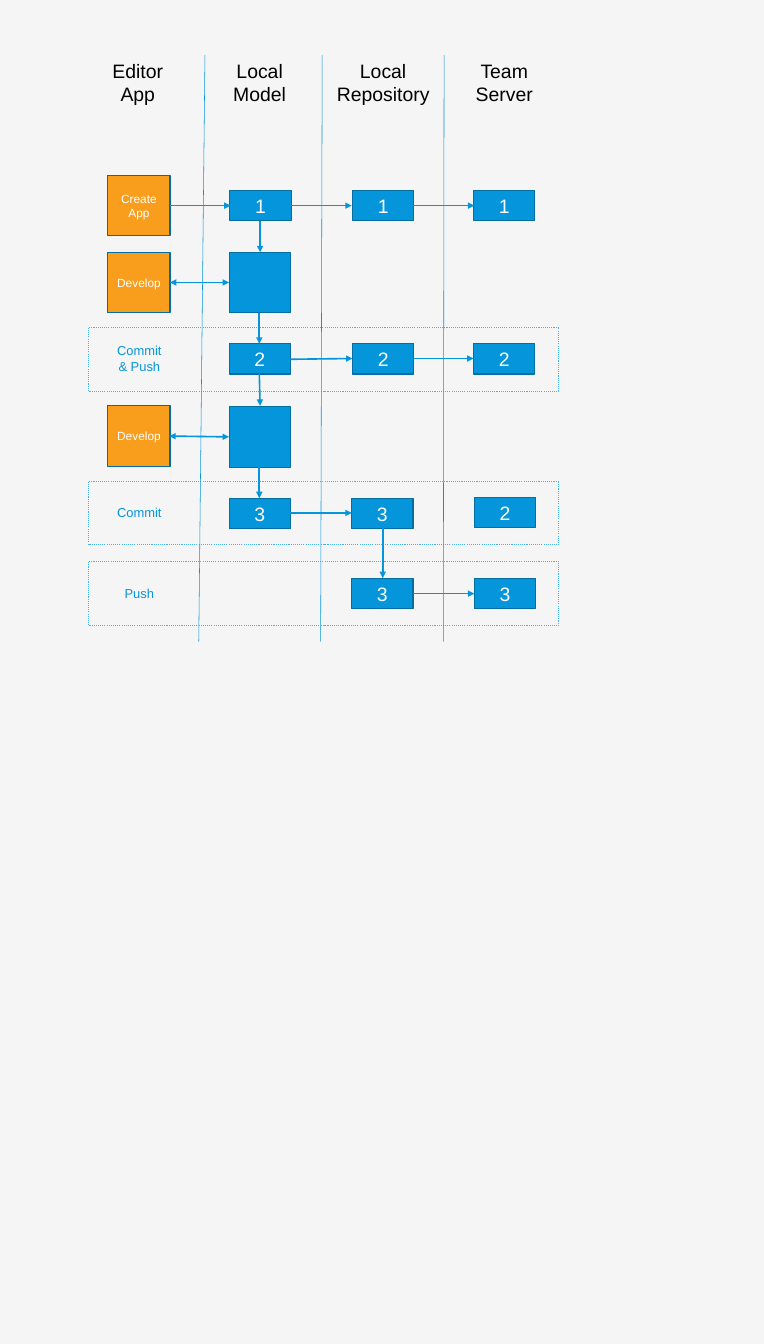
from pptx import Presentation
from pptx.dml.color import RGBColor
from pptx.enum.dml import MSO_LINE, MSO_PATTERN
from pptx.enum.shapes import MSO_CONNECTOR, MSO_SHAPE
from pptx.enum.text import MSO_ANCHOR, MSO_AUTO_SIZE, PP_ALIGN
from pptx.oxml.ns import qn
from pptx.util import Pt
from lxml.etree import SubElement

PX = 9144  # EMU per px, 100 px to the inch

THEME = {
    "font": "Arial",
    "background": RGBColor.from_string("F5F5F5"),
    "blue": RGBColor.from_string("0595DB"),
    "outline": RGBColor.from_string("046EA2"),
    "frame": RGBColor.from_string("48B0F7"),
    "orange": RGBColor.from_string("F99D1D"),
    "white": RGBColor.from_string("FFFFFF"),
    "black": RGBColor.from_string("000000"),
    "large": Pt(18),
    "label": Pt(12),
    "small": Pt(11),
}


def write_text(shape, paragraphs, size, color):
    """Fill a shape with centred paragraphs; a newline is a line break."""
    frame = shape.text_frame
    frame.word_wrap = True
    for index, text in enumerate(paragraphs):
        paragraph = frame.paragraphs[0] if index == 0 else frame.add_paragraph()
        paragraph.alignment = PP_ALIGN.CENTER
        for number, line in enumerate(text.split("\n")):
            if number:
                paragraph.add_line_break()
            run = paragraph.add_run()
            run.text = line
            run.font.name = THEME["font"]
            run.font.size = THEME[size]
            run.font.color.rgb = THEME[color]


def add_line(start, end, width, arrowheads=()):
    """Draw a blue line with triangles at the named ends."""
    connector = slide.shapes.add_connector(
        MSO_CONNECTOR.STRAIGHT, *(value * PX for value in (*start, *end)))
    connector.line.color.rgb = THEME["blue"]
    connector.line.width = Pt(width)
    properties = connector._element.spPr
    for arrowhead in arrowheads:
        SubElement(properties.find(qn("a:ln")), qn(f"a:{arrowhead}"), type="triangle")
    SubElement(properties, qn("a:effectLst"))


presentation = Presentation()
presentation.slide_width = 984 * PX
presentation.slide_height = 1732 * PX
slide = presentation.slides.add_slide(presentation.slide_layouts[6])
slide.background.fill.solid()
slide.background.fill.fore_color.rgb = THEME["background"]

# Dotted frames around the commit and push steps
for top in (422, 620, 724):
    step_frame = slide.shapes.add_shape(
        MSO_SHAPE.RECTANGLE, 114 * PX, top * PX, 606 * PX, 82 * PX)
    step_frame.shadow.inherit = False
    step_frame.fill.background()
    step_frame.line.color.rgb = THEME["frame"]
    step_frame.line.width = Pt(1)
    step_frame.line.dash_style = MSO_LINE.ROUND_DOT

# Column separators
for top_x, bottom_x in ((264, 256), (415, 413), (572, 571)):
    add_line((top_x, 71), (bottom_x, 827), 0.5)

# Column headings and step labels: left, top, width, height, text, size, colour
headings = [(99, "Editor\nApp"), (256, "Local\nModel"),
            (415, "Local\nRepository"), (571, "Team\nServer")]
step_labels = [(437, 50, "Commit & Push"), (646, 30, "Commit"), (750, 30, "Push")]
texts = [(left, 71, 157, 71, text, "large", "black") for left, text in headings]
texts += [(140, top, 79, height, text, "label", "blue")
          for top, height, text in step_labels]
for left, top, width, height, text, size, color in texts:
    text_box = slide.shapes.add_textbox(left * PX, top * PX, width * PX, height * PX)
    write_text(text_box, [text], size, color)
    text_box.text_frame.auto_size = MSO_AUTO_SIZE.SHAPE_TO_FIT_TEXT

# Boxes: left, top, width, height, paragraphs, size, fill
actions = [(226, ["Create", "App"]), (325, ["Develop"]), (523, ["Develop"])]
revisions = [
    (245, "1", (296, 454, 610)),
    (443, "2", (295, 454, 610)),
    (642, "3", (295, 453)),
    (641, "2", (611,)),
    (745, "3", (453, 611)),
]
boxes = [(139, top, 80, 78, text, "small", "orange") for top, text in actions]
boxes += [(295, top, 79, 78, [], "small", "pattern") for top in (325, 524)]
boxes += [(left, top, 79, 39, [number], "large", "blue")
          for top, number, lefts in revisions for left in lefts]
for left, top, width, height, paragraphs, size, fill in boxes:
    box = slide.shapes.add_shape(
        MSO_SHAPE.RECTANGLE, left * PX, top * PX, width * PX, height * PX)
    box.shadow.inherit = False
    if fill == "pattern":
        box.fill.patterned()
        box.fill.pattern = MSO_PATTERN.DARK_HORIZONTAL
        box.fill.fore_color.rgb = THEME["blue"]
        box.fill.back_color.rgb = THEME["white"]
    else:
        box.fill.solid()
        box.fill.fore_color.rgb = THEME[fill]
    box.line.color.rgb = THEME["outline"]
    box.line.width = Pt(1)
    box.text_frame.vertical_anchor = MSO_ANCHOR.MIDDLE
    write_text(box, paragraphs, size, "white")

# One-way arrows
for start, end in (
    ((219, 265), (297, 265)), ((375, 265), (453, 265)), ((532, 265), (611, 265)),
    ((335, 285), (335, 325)), ((334, 404), (334, 443)),
    ((374, 463), (454, 462)), ((533, 462), (610, 462)),
    ((334, 482), (335, 523)), ((334, 602), (334, 642)),
    ((373, 661), (453, 661)), ((493, 681), (493, 745)), ((532, 765), (611, 765)),
):
    add_line(start, end, 1.5, ["tailEnd"])

# Two-way arrows between the editor and the local model
for start, end in (((219, 364), (295, 364)), ((218, 562), (295, 563))):
    add_line(start, end, 1.5, ["headEnd", "tailEnd"])

presentation.save("out.pptx")
